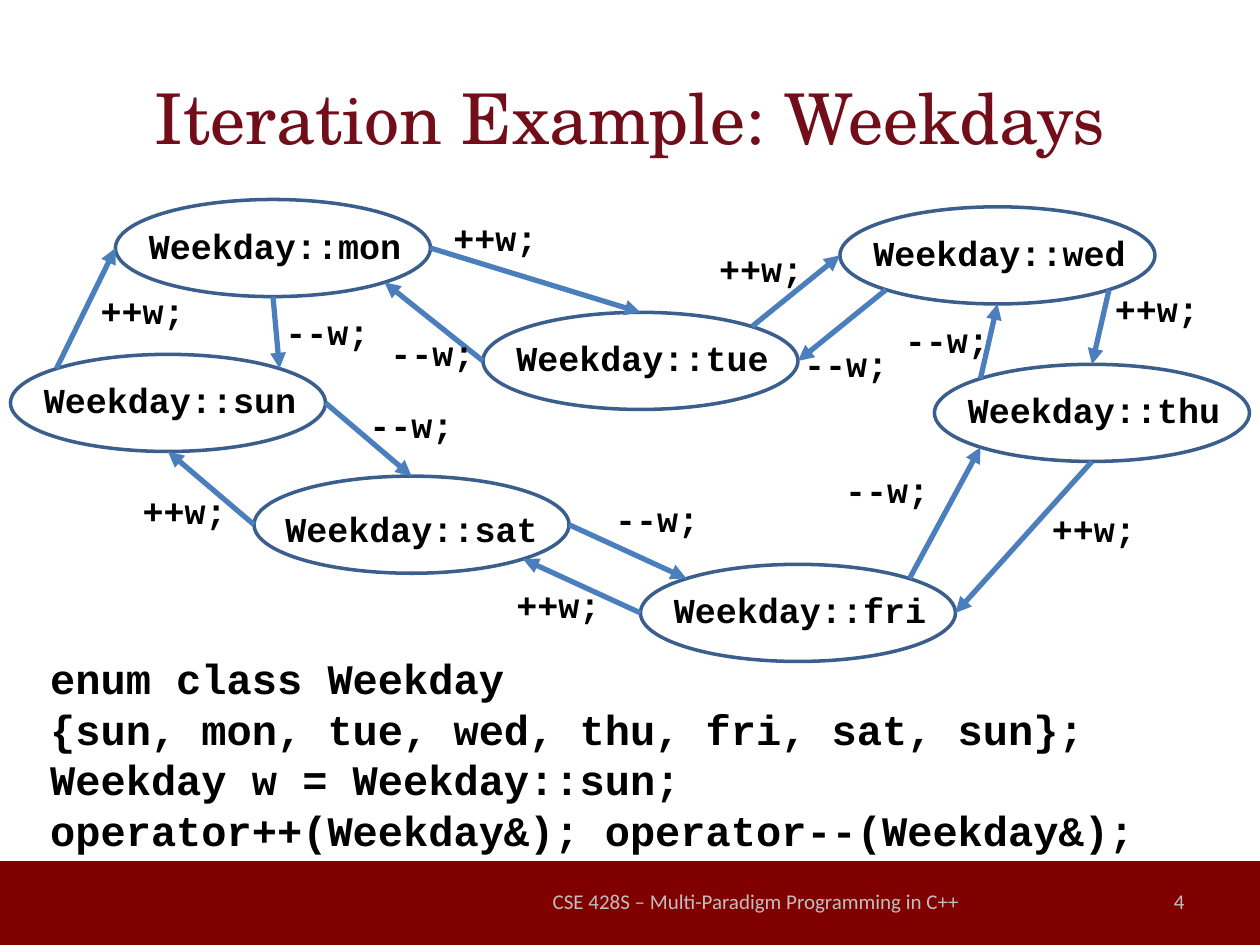
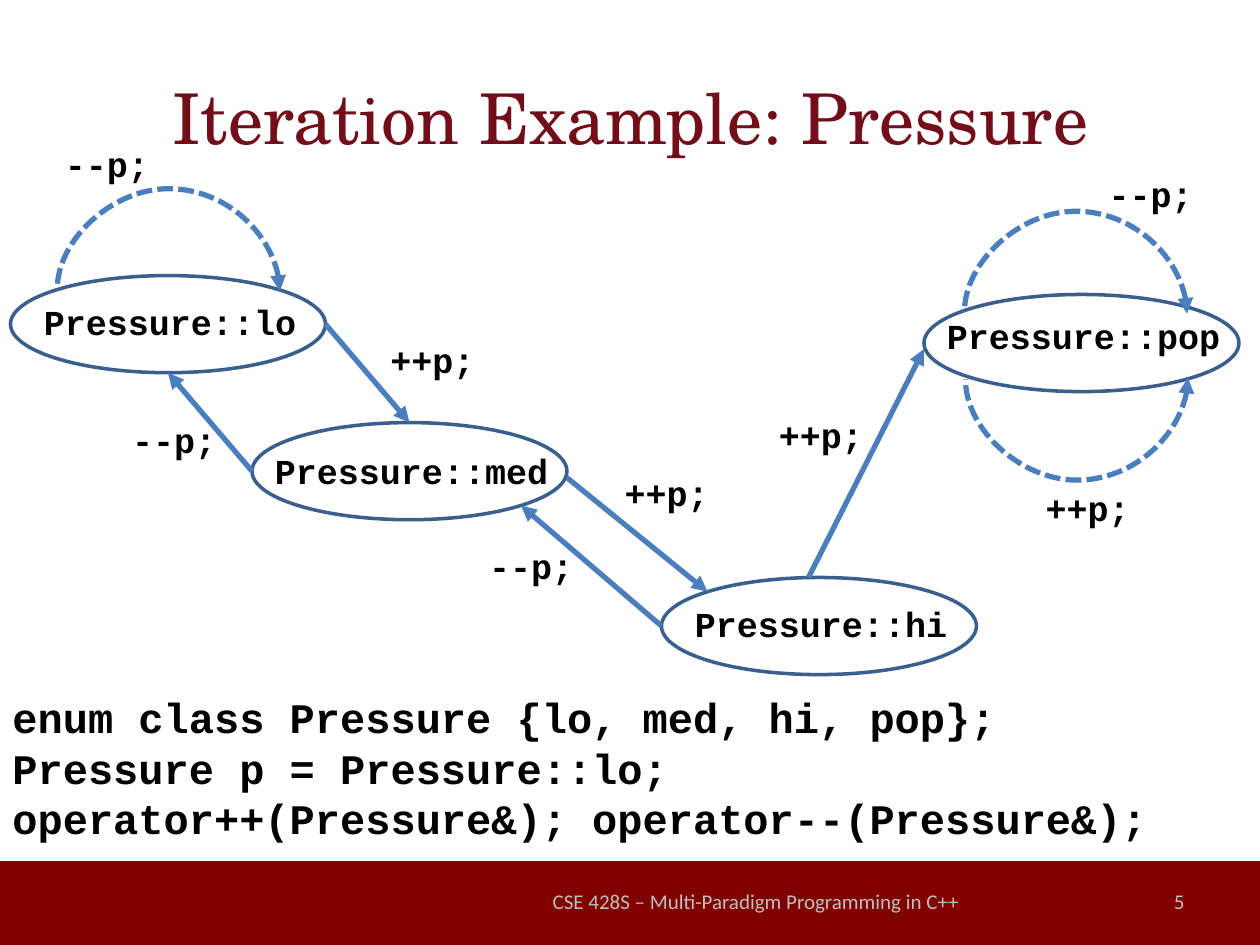
"""Build two slides of state diagrams for iterating over enum classes."""
from lxml.etree import SubElement
from pptx import Presentation
from pptx.dml.color import RGBColor
from pptx.enum.dml import MSO_LINE
from pptx.enum.shapes import MSO_CONNECTOR, MSO_SHAPE
from pptx.enum.text import MSO_ANCHOR, PP_ALIGN
from pptx.oxml.ns import qn
from pptx.util import Inches, Pt

C = {k: RGBColor.from_string(v) for k, v in {
    "band": "800000", "title": "720D1A", "footer": "BFBFBF",
    "oval": "3A5F8C", "arrow": "4B7EBC", "code": "000000"}.items()}
TITLE = {"name": "TeX Gyre Schola", "size": Pt(40), "bold": False}
FOOTER = {"name": "Calibri", "size": Pt(12), "bold": False}
LABEL = {"name": "Courier New", "size": Pt(20), "bold": True}
CODE = {**LABEL, "size": Pt(24)}

prs = Presentation()
prs.slide_width, prs.slide_height = Inches(10), Inches(7.5)
G = prs.slide_width // 120
OVAL_W, OVAL_H = 30, 9.25
LOOP_W, LOOP_H = 1 / 6, 21.2
SITES = {"top": (0.5, 0), "bottom": (0.5, 1), "left": (0, 0.5), "right": (1, 0.5),
         "nw": (0.146, 0.146), "ne": (0.854, 0.146),
         "sw": (0.146, 0.854), "se": (0.854, 0.854)}

SLIDES = [
    {"title": "Iteration Example: Weekdays", "page": "4", "type": "Weekday", "var": "w",
     "code": (3.6, 61.6, ["enum class Weekday",
                          "{sun, mon, tue, wed, thu, fri, sat, sun};",
                          "Weekday w = Weekday::sun;",
                          "operator++(Weekday&); operator--(Weekday&);"]),
     "states": {"tue": (46, 29.75, 2, 1.75), "sun": (1, 33.75, 2, 1.75),
                "mon": (11, 19, 2, 1.75), "wed": (80, 19.7, 2, 1.75),
                "thu": (89, 34.7, 2, 1.75), "fri": (61, 53.75, 2, 1.75),
                "sat": (24.2, 45.35, 1.8, 2.4)},
     "points": {},
     "arrows": [("sat left", "sun bottom"), ("sun right", "sat top"),
                ("sun nw", "mon left"), ("mon bottom", "sun ne"),
                ("mon right", "tue top"), ("tue left", "mon se"),
                ("tue ne", "wed left"), ("wed sw", "tue right"),
                ("wed se", "thu top"), ("thu nw", "wed bottom"),
                ("thu bottom", "fri right"), ("fri ne", "thu sw"),
                ("fri left", "sat se"), ("sat right", "fri nw")],
     "loops": [],
     "labels": {"++": [(12.4, 46), (8.4, 27), (42, 20), (67.3, 23),
                       (105, 26.75), (99, 47.75), (48, 55)],
                "--": [(34, 37.8), (26, 29), (36, 31), (75.4, 32),
                       (85, 29.75), (79.3, 44), (57.4, 46.8)]}},
    {"title": "Iteration Example: Pressure", "page": "5", "type": "Pressure", "var": "p",
     "code": (0, 65.3, ["enum class Pressure {lo, med, hi, pop};",
                        "Pressure p = Pressure::lo;",
                        "operator++(Pressure&); operator--(Pressure&);"]),
     "states": {"lo": (1, 26.25, 2, 1.75), "pop": (88, 28.05, 1, 1.35),
                "hi": (63, 55, 2, 1.75), "med": (24, 40.25, 1, 2)},
     "points": {"med out": (54, 45.5), "hi out": (77, 55), "pop in": (88, 33.25)},
     "arrows": [("med left", "lo bottom"), ("lo right", "med top"),
                ("med out", "hi nw"), ("hi left", "med se"), ("hi out", "pop in")],
     "loops": [(16.05, 27.65, 270), (102.45, 29.8, 270), (102.55, 36.05, 90)],
     "labels": {"++": [(36, 31.6), (58.3, 44.3), (73, 38.8), (98.4, 45.7)],
                "--": [(11.4, 39.25), (45.4, 51.25), (5, 13), (104.4, 15.85)]}},
]


def put_text(sp, box, lines, fmt, color, align=PP_ALIGN.LEFT, anchor=MSO_ANCHOR.TOP):
    for name, v in zip(("left", "top", "width", "height"), box):
        setattr(sp, name, round(v * G))
    tf = sp.text_frame
    tf.word_wrap, tf.vertical_anchor = True, anchor
    for i, line in enumerate(lines):
        p = tf.add_paragraph() if i else tf.paragraphs[0]
        p.alignment = align
        r = p.add_run()
        r.text = line
        for name, v in fmt.items():
            setattr(r.font, name, v)
        r.font.color.rgb = C[color]


def add_arrow(s, kind, start, end, tip, dash=None):
    c = s.shapes.add_connector(kind, *[round(v * G) for v in (*start, *end)])
    c.line.color.rgb, c.line.width = C["arrow"], Pt(3)
    if dash:
        c.line.dash_style = dash
    pr = c.element.spPr
    SubElement(pr.find(qn("a:ln")), qn(tip)).set("type", "triangle")
    SubElement(pr, qn("a:effectLst"))
    return pr


for d in SLIDES:
    s = prs.slides.add_slide(prs.slide_layouts[5])
    if d is SLIDES[0]:
        band = s.shapes.add_shape(MSO_SHAPE.RECTANGLE, 0, 82 * G, 120 * G, 8 * G)
        band.shadow.inherit = False
        band.fill.solid()
        band.fill.fore_color.rgb = C["band"]
        band.line.fill.background()
        prs.slide_master.shapes.element.insert(2, band.element)

    put_text(s.shapes.title, (6, 3.6, 108, 15), [d["title"]], TITLE, "title",
             PP_ALIGN.CENTER, MSO_ANCHOR.MIDDLE)
    for x, w, text, align in [
            (86, 28, d["page"], PP_ALIGN.RIGHT),
            (50, 44, "CSE 428S – Multi-Paradigm Programming in C++", PP_ALIGN.CENTER)]:
        put_text(s.shapes.add_textbox(0, 0, 0, 0), (x, 83.4, w, 4.8), [text],
                 FOOTER, "footer", align, MSO_ANCHOR.MIDDLE)

    x, y, lines = d["code"]
    put_text(s.shapes.add_textbox(0, 0, 0, 0), (x, y, 116, 4.8 * len(lines) + 1.2),
             lines, CODE, "code")

    points = dict(d["points"])
    for state, (x, y, dx, dy) in d["states"].items():
        sp = s.shapes.add_shape(MSO_SHAPE.OVAL, *[round(v * G) for v in (x, y, OVAL_W, OVAL_H)])
        sp.shadow.inherit = False
        sp.fill.background()
        sp.line.color.rgb, sp.line.width = C["oval"], Pt(2)
        put_text(s.shapes.add_textbox(0, 0, 0, 0), (x + dx, y + dy, OVAL_W, 5.25),
                 [f"{d['type']}::{state}"], LABEL, "code")
        for site, (fx, fy) in SITES.items():
            points[f"{state} {site}"] = (x + fx * OVAL_W, y + fy * OVAL_H)

    for start, end in d["arrows"]:
        add_arrow(s, MSO_CONNECTOR.STRAIGHT, points[start], points[end], "a:tailEnd")

    for x, y, turn in d["loops"]:
        half = LOOP_H / 2 if turn == 270 else -LOOP_H / 2
        pr = add_arrow(s, MSO_CONNECTOR.CURVE, (x - LOOP_W / 2, y + half),
                       (x + LOOP_W / 2, y - half), "a:headEnd", MSO_LINE.SQUARE_DOT)
        pr.find(qn("a:xfrm")).set("rot", str(turn * 60000))
        gd = SubElement(pr.find(qn("a:prstGeom")).find(qn("a:avLst")), qn("a:gd"))
        gd.set("name", "adj1")
        gd.set("fmla", "val 5901700")

    for op, places in d["labels"].items():
        for x, y in places:
            put_text(s.shapes.add_textbox(0, 0, 0, 0), (x, y, 11.6, 5.25),
                     [f"{op}{d['var']};"], LABEL, "code")

prs.save("out.pptx")
